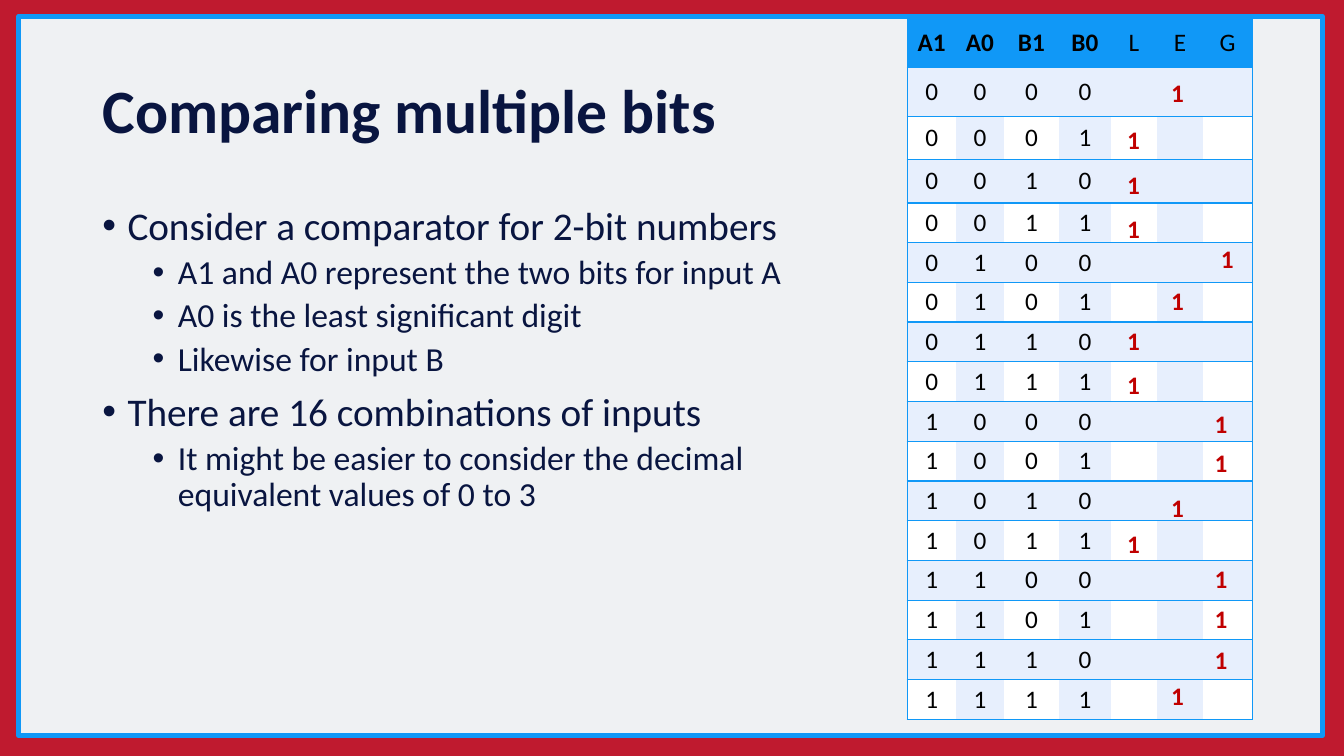
"""Build the slide on comparing two 2-bit numbers with its truth table."""
from lxml.etree import SubElement
from pptx import Presentation
from pptx.dml.color import RGBColor
from pptx.enum.shapes import MSO_SHAPE
from pptx.enum.text import MSO_ANCHOR, PP_ALIGN
from pptx.oxml import parse_xml
from pptx.oxml.ns import nsdecls, qn
from pptx.util import Pt

NAVY, BLUE, BAND, RED = "091540", "1098F7", "E7EFFD", "C00000"


def paint(item, tint):
    item.solid()
    item.fore_color.rgb = RGBColor.from_string(tint)


def write(para, text, size, tint, bold=False):
    run = para.add_run()
    run.text = text
    run.font.name = "Calibri"
    run.font.size = Pt(size)
    run.font.bold = bold
    paint(run.font.fill, tint)


deck = Presentation()
deck.slide_width, deck.slide_height = Pt(960), Pt(540)
slide = deck.slides.add_slide(deck.slide_layouts[5])
shapes = slide.shapes
paint(slide.background.fill, "BF1A2F")

panel = shapes.add_shape(MSO_SHAPE.RECTANGLE, Pt(13.5), Pt(11.5), Pt(931), Pt(514))
panel.shadow.inherit = False
paint(panel.fill, "EFF1F3")
paint(panel.line.fill, BLUE)
panel.line.width = Pt(3.5)
shapes.element.insert(2, panel.element)

title = shapes.title
title.left, title.top, title.width, title.height = Pt(66), Pt(28.75), Pt(828), Pt(104.4)
frame = title.text_frame
frame.vertical_anchor = MSO_ANCHOR.MIDDLE
para = frame.paragraphs[0]
para.alignment = PP_ALIGN.LEFT
para.line_spacing = 0.9
write(para, "Comparing multiple bits", 44, NAVY, True)

points = [
    (0, "Consider a comparator for 2-bit numbers"),
    (1, "A1 and A0 represent the two bits for input A"),
    (1, "A0 is the least significant digit"),
    (1, "Likewise for input B"),
    (0, "There are 16 combinations of inputs"),
    (1, "It might be easier to consider the decimal equivalent values of 0 to 3"),
]
frame = shapes.add_textbox(Pt(66), Pt(143.75), Pt(503), Pt(342.5)).text_frame
frame.word_wrap = True
for i, (level, text) in enumerate(points):
    para = frame.add_paragraph() if i else frame.paragraphs[0]
    para.level = level
    para.line_spacing = 0.9
    para.space_before = Pt((10, 5)[level] if i else 0)
    props = para._p.get_or_add_pPr()
    props.set("marL", str(Pt((18, 54)[level])))
    props.set("indent", str(Pt(-18)))
    SubElement(props, qn("a:buFont")).set("typeface", "Arial")
    SubElement(props, qn("a:buChar")).set("char", "•")
    write(para, text, (28, 24)[level], NAVY)

heads = ["A1", "A0", "B1", "B0", "L", "E", "G"]
widths = [35, 34, 39.5, 37, 33, 33, 35]
heights = [35, 35, 31, 31] + [28.4] * 13
rows = [heads] + [list(format(n, "04b")) + [""] * 3 for n in range(16)]
grid = shapes.add_table(17, 7, Pt(648), Pt(13), Pt(sum(widths)), Pt(sum(heights)))
style = grid.element.xpath(".//a:tableStyleId")[0]
style.text = "{2D5ABB26-0587-4C30-8999-92F81FD0307C}"
table = grid.table
for col, width in zip(table.columns, widths):
    col.width = Pt(width)
for r, row in enumerate(rows):
    table.rows[r].height = Pt(heights[r])
    for c, text in enumerate(row):
        cell = table.cell(r, c)
        cell.vertical_anchor = MSO_ANCHOR.MIDDLE
        cell.margin_left = cell.margin_right = Pt(5)
        cell.margin_top = cell.margin_bottom = 0
        paint(cell.fill, BLUE if r == 0 else BAND if r % 2 or c % 2 else "FFFFFF")
        para = cell.text_frame.paragraphs[0]
        para.alignment = PP_ALIGN.CENTER
        if text:
            write(para, text, 18, "000000", r == 0 and c < 4)
        sides = ["L"] * (c == 0) + ["R"] * (c == 6) + ["T", "B"]
        for i, side in enumerate(sides):
            edge = parse_xml(
                f'<a:ln{side} {nsdecls("a")} w="{Pt(1)}"><a:solidFill>'
                f'<a:srgbClr val="{BLUE}"/></a:solidFill></a:ln{side}>')
            cell._tc.get_or_add_tcPr().insert(i, edge)

tops = [52, 85, 117.5, 148.5, 170.5, 200, 229, 260,
        288, 316, 348, 373.5, 399, 427.5, 457, 482.5]
for n, top in enumerate(tops):
    a, b = divmod(n, 4)
    left = 798 if a < b else 829.5 if a == b else 865 if n == 4 else 860.5
    mark = shapes.add_textbox(Pt(left), Pt(top), Pt(24), Pt(29)).text_frame
    mark.word_wrap = False
    write(mark.paragraphs[0], "1", 18, RED, True)

deck.save("out.pptx")
